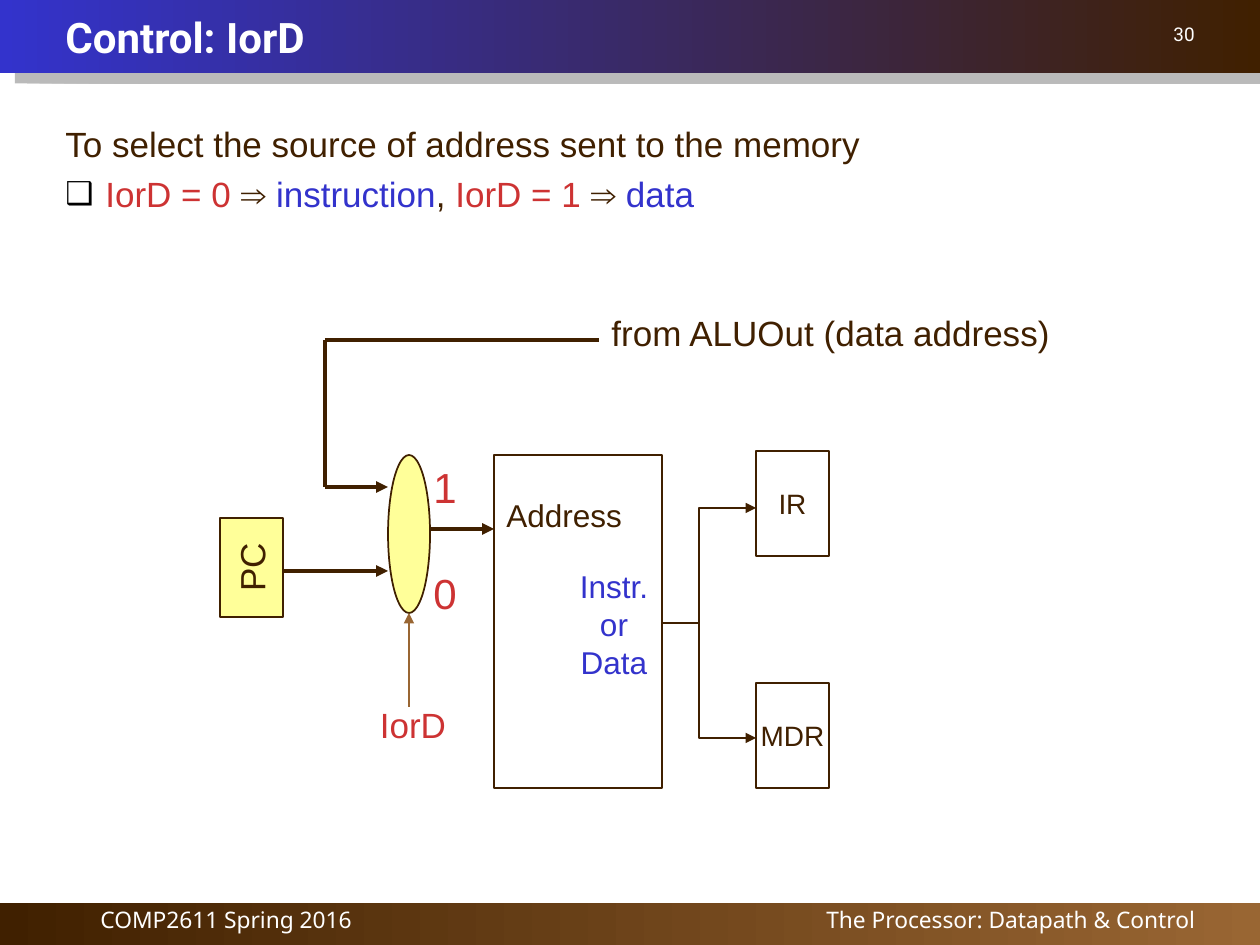
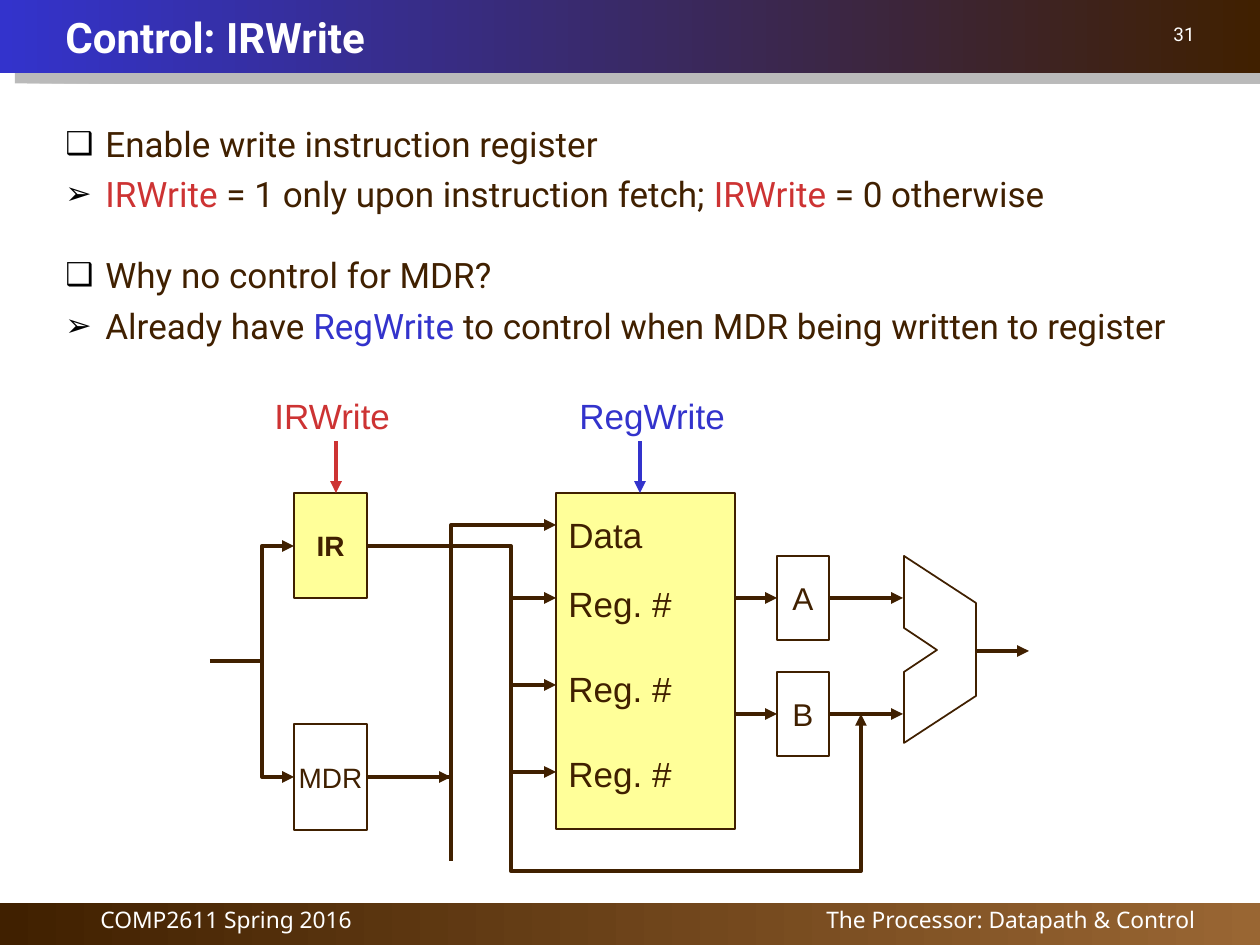
from lxml.etree import SubElement
from pptx import Presentation
from pptx.dml.color import RGBColor
from pptx.enum.shapes import MSO_CONNECTOR, MSO_SHAPE as Geo
from pptx.enum.text import MSO_ANCHOR as Anchor, MSO_AUTO_SIZE as Auto, PP_ALIGN as Align
from pptx.oxml.ns import qn
from pptx.util import Pt

WIDE, HIGH = 1260, 945
BROWN = RGBColor(0x40, 0x20, 0x00)
TAN = RGBColor(0x99, 0x66, 0x33)
BLUE = RGBColor(0x33, 0x33, 0xCC)
RED = RGBColor(0xCD, 0x33, 0x33)
YELLOW = RGBColor(0xFF, 0xFF, 0x99)
WHITE = RGBColor(0xFF, 0xFF, 0xFF)
SANS, HEAD, FOOT = "Arial", "Roboto", "Noto Sans"
BOX, POINT = "❑", "➢"
THIN, THICK = 1, 2.25


def px(*sizes):
    """Turn lengths at 126 px to the inch into EMU."""
    return [round(size * 914400 / 126) for size in sizes]


def add_xml(parent, tag, **attrs):
    return SubElement(parent, qn(tag), {key: str(val) for key, val in attrs.items()})


class Deck:
    def __init__(self):
        self.prs = Presentation()
        self.prs.slide_width, self.prs.slide_height = px(WIDE, HIGH)
        self.slide = None

    def start(self, title, number):
        """Open a slide with its bands, title, number and footers."""
        self.slide = self.prs.slides.add_slide(self.prs.slide_layouts[6])
        self.band(903, 42, BROWN, TAN)
        top = self.band(0, 73, BLUE, BROWN)
        effects = top.element.spPr.find(qn("a:effectLst"))
        shade = add_xml(effects, "a:outerShdw", blurRad=0, dist=Pt(10.4),
                        dir=35 * 60000, algn="ctr", rotWithShape=0)
        tint = add_xml(shade, "a:srgbClr", val="777777")
        add_xml(tint, "a:alpha", val=50000)
        self.note(32, 903, 388, "COMP2611 Spring 2016", Align.CENTER)
        self.note(577, 903, 630, "The Processor: Datapath & Control")
        self.note(945, 21, 262, str(number), size=10.8, font=HEAD, space=0.8)
        frame = self.frame(53, 0, 1155, 74)
        frame.vertical_anchor = Anchor.MIDDLE
        self.run(frame.paragraphs[0], title, 24, WHITE, HEAD, True)

    def band(self, y, h, left, right):
        shape = self.slide.shapes.add_shape(Geo.RECTANGLE, *px(0, y, WIDE, h))
        shape.shadow.inherit = False
        shape.line.fill.background()
        shape.fill.gradient()
        shape.fill.gradient_angle = 0
        for stop, color in zip(shape.fill.gradient_stops, (left, right)):
            stop.color.rgb = color
        return shape

    def frame(self, x, y, w, h, wrap=True):
        frame = self.slide.shapes.add_textbox(*px(x, y, w, h)).text_frame
        frame.word_wrap = wrap
        return frame

    def run(self, para, text, size, color=BROWN, font=SANS, bold=False):
        run = para.add_run()
        run.text = text
        run.font.size, run.font.name, run.font.bold = Pt(size), font, bold
        run.font.color.rgb = color

    def note(self, x, y, w, text, align=Align.RIGHT, size=13, font=FOOT, space=0.9):
        """Add small white text on a band."""
        para = self.frame(x, y, w, 43).paragraphs[0]
        para.alignment, para.line_spacing, para.space_before = align, space, Pt(8.8)
        self.run(para, text, size, WHITE, font)

    def body(self, font, *items):
        """Add paragraphs, each a bullet, the space before it and its runs."""
        frame = self.frame(53, 116, 1155, 756)
        for i, (mark, gap, *runs) in enumerate(items):
            para = frame.add_paragraph() if i else frame.paragraphs[0]
            para.space_before = Pt(gap)
            props = para._p.get_or_add_pPr()
            indent, = px(40)
            props.set("marL", str(indent))
            props.set("indent", str(-indent))
            if mark:
                add_xml(add_xml(props, "a:buClr"), "a:srgbClr", val="000000")
                add_xml(props, "a:buSzPct", val=90000)
                add_xml(props, "a:buFont", typeface=SANS)
                add_xml(props, "a:buChar", char=mark)
            for text, color in runs:
                self.run(para, text, 20, color, font)

    def label(self, x, y, w, h, text, size=20, color=BROWN, align=Align.LEFT):
        frame = self.frame(x, y, w, h, False)
        frame.auto_size = Auto.SHAPE_TO_FIT_TEXT
        for i, line in enumerate(text.split("\n")):
            para = frame.add_paragraph() if i else frame.paragraphs[0]
            para.alignment = align
            self.run(para, line, size, color)

    def paint(self, shape, fill=None, color=BROWN, width=THIN):
        shape.shadow.inherit = False
        if fill is None:
            shape.fill.background()
        else:
            shape.fill.solid()
            shape.fill.fore_color.rgb = fill
        shape.line.color.rgb = color
        shape.line.width = Pt(width)
        return shape

    def block(self, x, y, w, h, text="", size=16, fill=None, bold=False,
              geo=Geo.RECTANGLE, turn=False):
        shape = self.paint(self.slide.shapes.add_shape(geo, *px(x, y, w, h)), fill)
        if text:
            frame = shape.text_frame
            frame.word_wrap = False
            frame.vertical_anchor = Anchor.MIDDLE
            frame.paragraphs[0].alignment = Align.CENTER
            self.run(frame.paragraphs[0], text, size, bold=bold)
            if turn:
                frame._txBody.bodyPr.set("vert", "vert270")
        return shape

    def tip(self, shape):
        add_xml(shape.element.spPr.find(qn("a:ln")), "a:tailEnd", type="triangle")

    def line(self, x1, y1, x2, y2, color=BROWN, width=THICK, tip=True,
             start=None, end=None):
        """Draw a straight wire; start and end are blocks joined right and left."""
        wire = self.slide.shapes.add_connector(MSO_CONNECTOR.STRAIGHT, *px(x1, y1, x2, y2))
        wire.line.color.rgb = color
        wire.line.width = Pt(width)
        if start:
            wire.begin_connect(start, 3)
        if end:
            wire.end_connect(end, 1)
        if tip:
            self.tip(wire)
        add_xml(wire.element.spPr, "a:effectLst")

    def outline(self, points, close):
        first, *rest = [px(*point) for point in points]
        form = self.slide.shapes.build_freeform(*first, scale=1.0)
        form.add_line_segments(rest, close=close)
        return form.convert_to_shape()

    def bend(self, *points, width=THICK):
        """Draw a wire with corners and an arrowhead at its end."""
        self.tip(self.paint(self.outline(points, False), width=width))

    def fork(self, x1, mid, x2, y, ends, width):
        for end in ends:
            self.bend((x1, y), (mid, y), (mid, end), (x2, end), width=width)


def source_slide(deck):
    deck.start("Control: IorD", 30)
    deck.body(
        SANS,
        (None, 5, ("To select the source of address sent to the memory", BROWN)),
        (BOX, 5, ("IorD = 0 ", RED), ("⇒ ", BROWN), ("instruction", BLUE), (", ", BROWN),
         ("IorD = 1 ", RED), ("⇒ ", BROWN), ("data", BLUE)))
    deck.block(220, 518, 63, 99, "PC", 20, YELLOW, turn=True)
    deck.block(494, 455, 168, 333)
    deck.label(363, 697, 100, 55, "IorD", color=RED, align=Align.CENTER)
    deck.label(494, 490, 150, 50, "Address", 18)
    for y, name in ((451, "IR"), (683, "MDR")):
        deck.block(756, y, 73, 105, name)
    deck.fork(662, 699, 756, 623, (508, 738), THIN)
    deck.label(564, 561, 100, 126, "Instr.\nor\nData", 18, BLUE, Align.CENTER)
    deck.line(283, 571, 388, 571)
    deck.block(388, 455, 42, 158, fill=YELLOW, geo=Geo.OVAL)
    deck.line(409, 707, 409, 613, TAN, THIN)
    deck.line(325, 340, 325, 487, tip=False)
    deck.line(325, 487, 388, 487)
    deck.line(325, 340, 599, 340, tip=False)
    deck.line(430, 529, 494, 529)
    deck.label(599, 305, 470, 55, "from ALUOut (data address)")
    for y, pick in ((561, "0"), (455, "1")):
        deck.label(421, y, 52, 63, pick, 24, RED)


def write_slide(deck):
    deck.start("Control: IRWrite", 31)
    deck.body(
        HEAD,
        (BOX, 5, ("Enable write instruction register", BROWN)),
        (POINT, 5, ("IRWrite", RED), (" = 1 only upon instruction fetch; ", BROWN),
         ("IRWrite", RED), (" = 0 otherwise", BROWN)),
        (BOX, 22, ("Why no control for MDR?", BROWN)),
        (POINT, 5, ("Already have ", BROWN), ("RegWrite", BLUE),
         (" to control when MDR being written to register", BROWN)))
    deck.block(556, 493, 179, 336, fill=YELLOW)
    deck.label(556, 507, 106, 55, "Data")
    for y, wire in ((576, 598), (661, 685), (746, 772)):
        deck.label(556, y, 135, 55, "Reg. #")
        deck.line(511, wire, 556, wire)
    deck.block(294, 493, 73, 105, "IR", fill=YELLOW, bold=True)
    mdr = deck.block(294, 724, 73, 106, "MDR")
    for y, name in ((556, "A"), (672, "B")):
        latch = deck.block(777, y, 52, 84, name, 18)
        mid = y + 42
        deck.line(735, mid, 777, mid, end=latch)
        deck.line(829, mid, 903, mid, start=latch)
    deck.line(976, 651, 1029, 651)
    deck.line(367, 777, 451, 777, start=mdr)
    for x, at, w, name, color in ((262, 336, 148, "IRWrite", RED),
                                  (567, 640, 177, "RegWrite", BLUE)):
        deck.label(x, 388, w, 55, name, color=color)
        deck.line(at, 441, at, 493, color)
    deck.fork(242, 262, 294, 661, (546, 777), THICK)
    deck.line(210, 661, 252, 661, tip=False)
    adder = ((904, 556), (976, 603), (976, 696), (904, 743),
             (904, 672), (937, 650), (904, 628))
    deck.paint(deck.outline(adder, True), WHITE)
    deck.bend((367, 546), (511, 546), (511, 871), (861, 871), (861, 714))
    deck.line(451, 861, 451, 609, tip=False)
    deck.bend((410, 777), (451, 777), (451, 525), (556, 525))


def main():
    deck = Deck()
    source_slide(deck)
    write_slide(deck)
    deck.prs.save("out.pptx")


if __name__ == "__main__":
    main()
